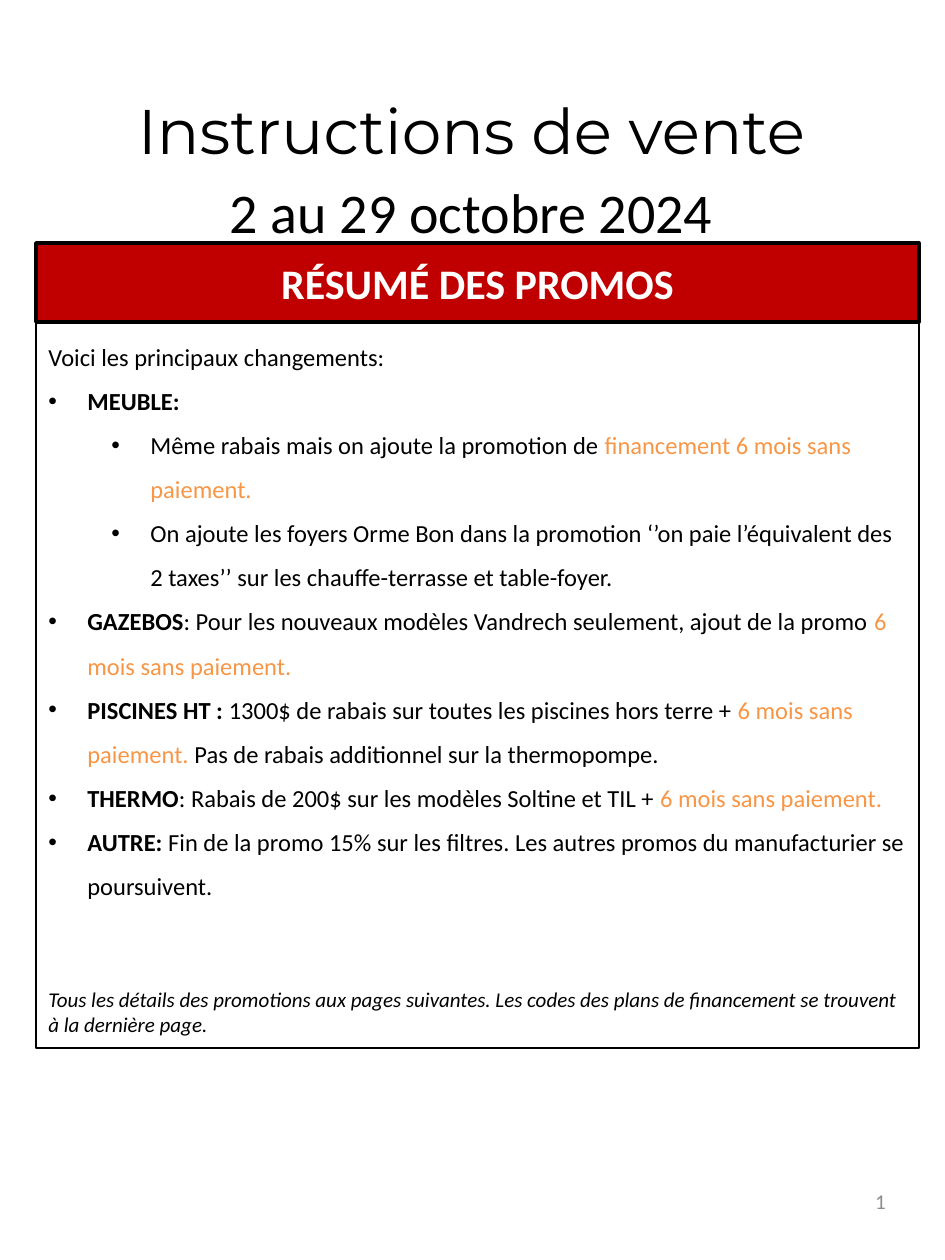
"""Build the sales instructions page with its promotion summary."""
from lxml.etree import SubElement
from pptx import Presentation
from pptx.dml.color import RGBColor
from pptx.enum.shapes import MSO_SHAPE as Shape
from pptx.enum.text import MSO_ANCHOR as Anchor, PP_ALIGN as Align
from pptx.oxml.ns import qn
from pptx.util import Emu, Pt

SCALE = 914400 / 126
BLACK, WHITE, RED, ORANGE, GREY = "000000", "FFFFFF", "C00000", "F79646", "8C8C8C"
BODY_FONT, TITLE_FONT = "Calibri", "Montserrat"
FINANCING = "6 mois sans paiement."

PROMOS = [
    (0, [("MEUBLE:", "bold")]),
    (1, [("Même rabais mais on ajoute la promotion de ", ""),
         (f"financement {FINANCING}", "accent")]),
    (1, [("On ajoute les foyers Orme Bon dans la promotion ‘’on paie l’équivalent des "
          "2 taxes’’ sur les chauffe-terrasse et table-foyer.", "")]),
    (0, [("GAZEBOS", "bold"),
         (": Pour les nouveaux modèles Vandrech seulement, ajout de la promo ", ""),
         (FINANCING, "accent")]),
    (0, [("PISCINES HT : ", "bold"),
         ("1300$ de rabais sur toutes les piscines hors terre + ", ""),
         (f"{FINANCING} ", "accent"),
         ("Pas de rabais additionnel sur la thermopompe.", "")]),
    (0, [("THERMO", "bold"),
         (": Rabais de 200$ sur les modèles Soltine et TIL + ", ""),
         (FINANCING, "accent")]),
    (0, [("AUTRE: ", "bold"),
         ("Fin de la promo 15% sur les filtres. Les autres promos du manufacturier "
          "se poursuivent.", "")]),
]


def px(length):
    """Turn pixels into EMU."""
    return Emu(round(length * SCALE))


def color(value):
    """Turn a hex string into a colour."""
    return RGBColor.from_string(value)


def add_run(paragraph, text, size, fill=BLACK, font=BODY_FONT, bold=False, italic=False):
    """Append one formatted run."""
    run = paragraph.add_run()
    run.text = text
    run.font.size, run.font.name = Pt(size), font
    run.font.bold, run.font.italic = bold, italic
    run.font.color.rgb = color(fill)


def add_panel(slide, box, line_width, fill=None, anchor=Anchor.TOP):
    """Add a black-edged rectangle and return its text frame."""
    shape = slide.shapes.add_shape(Shape.RECTANGLE, *map(px, box))
    shape.shadow.inherit = False
    if fill:
        shape.fill.solid()
        shape.fill.fore_color.rgb = color(fill)
    else:
        shape.fill.background()
    shape.line.color.rgb = color(BLACK)
    shape.line.width = Pt(line_width)
    frame = shape.text_frame
    frame.word_wrap, frame.vertical_anchor = True, anchor
    return frame


def add_text(slide, box, align, anchor=Anchor.TOP):
    """Add a text box and return its first paragraph."""
    frame = slide.shapes.add_textbox(*map(px, box)).text_frame
    frame.word_wrap, frame.vertical_anchor = True, anchor
    frame.paragraphs[0].alignment = align
    return frame.paragraphs[0]


def add_bullet(frame, level, runs):
    """Append a bulleted promotion."""
    paragraph = frame.add_paragraph()
    paragraph.level = level
    paragraph.alignment, paragraph.line_spacing = Align.LEFT, 1.5
    properties = paragraph._p.get_or_add_pPr()
    properties.set("marL", str(px(39 + 63 * level)))
    properties.set("indent", str(-px(39)))
    SubElement(properties, qn("a:buFont"), typeface="Arial")
    SubElement(properties, qn("a:buChar"), char="•")
    for text, style in runs:
        fill = ORANGE if style == "accent" else BLACK
        add_run(paragraph, text, 14, fill, bold=style == "bold")


def add_title(slide):
    """Add the title and the dates."""
    title = add_text(slide, (46, 74, 851, 149), Align.CENTER)
    title.line_spacing, title.space_after = 1.15, Pt(10)
    add_run(title, "Instructions de vente", 36, font=TITLE_FONT)
    title.add_line_break()
    add_run(title, "2 au 29 octobre 2024", 32)


def add_summary(slide):
    """Add the red heading and the list of promotions."""
    heading = add_panel(slide, (36, 243, 883, 79), 2, RED, Anchor.MIDDLE).paragraphs[0]
    heading.alignment = Align.CENTER
    add_run(heading, "RÉSUMÉ DES PROMOS", 24, WHITE, bold=True)

    frame = add_panel(slide, (36, 321, 883, 727), 0.75)
    intro = frame.paragraphs[0]
    intro.alignment, intro.line_spacing = Align.LEFT, 1.5
    add_run(intro, "Voici les principaux changements:", 14)
    for level, runs in PROMOS:
        add_bullet(frame, level, runs)
    note = frame.add_paragraph()
    note.alignment, note.space_before = Align.LEFT, Pt(49)
    add_run(note, "Tous les détails des promotions aux pages suivantes. Les codes des plans "
            "de financement se trouvent à la dernière page.", 12, italic=True)


def main():
    """Build and save the presentation."""
    presentation = Presentation()
    presentation.slide_width, presentation.slide_height = px(945), px(1260)
    slide = presentation.slides.add_slide(presentation.slide_layouts[6])
    add_summary(slide)
    page_number = add_text(slide, (678, 1168, 220, 67), Align.RIGHT, Anchor.MIDDLE)
    add_run(page_number, "1", 12, GREY)
    add_title(slide)
    presentation.save("out.pptx")


if __name__ == "__main__":
    main()
